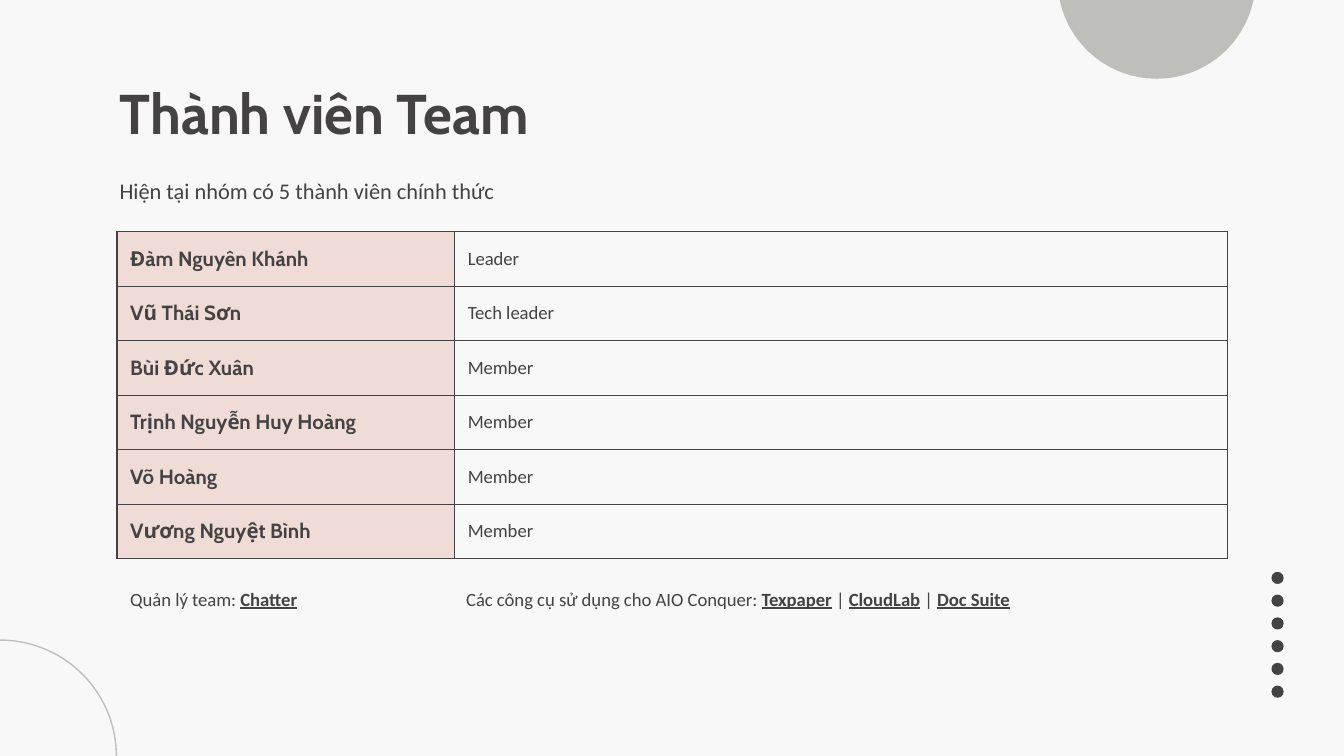
from math import cos, pi, sin

from lxml import etree
from pptx import Presentation
from pptx import util as u
from pptx.dml.color import RGBColor
from pptx.enum import shapes, text
from pptx.oxml.ns import qn

INK, PAPER, GREY, ROSE = "444242", "F8F8F8", "BEBEBB", "CE644C"
NAME = {"name": "Cabin", "size": u.Pt(11), "bold": True}
ROLE = {"name": "Calibri", "size": u.Pt(10), "bold": False}
TOOL = {"name": "Calibri", "size": u.Pt(10), "bold": True, "underline": True}


def paint(target, colour):
    if hasattr(target, "solid"):
        target.solid()
        target = target.fore_color
    target.rgb = RGBColor.from_string(colour)


def write(frame, spans, **paragraph_format):
    frame.word_wrap = True
    for side in ("left", "right", "top", "bottom"):
        setattr(frame, f"margin_{side}", u.Cm(0.25))
    para = frame.paragraphs[0]
    para.alignment = text.PP_ALIGN.LEFT
    for key, value in paragraph_format.items():
        setattr(para, key, value)
    for words, font_format in spans:
        span = para.add_run()
        span.text = words
        for key, value in font_format.items():
            setattr(span.font, key, value)
        paint(span.font.color, INK)


deck = Presentation()
deck.slide_width, deck.slide_height = u.Cm(25.4), u.Cm(14.29)
page = deck.slides.add_slide(deck.slide_layouts[5])
paint(page.background.fill, PAPER)

centre_x, centre_y, radius = 21.86, -0.38, 1.87
arc = [(u.Cm(centre_x + radius * cos(pi * step / 60)),
        u.Cm(centre_y + radius * sin(pi * step / 60))) for step in range(61)]
builder = page.shapes.build_freeform(*arc[0])
builder.add_line_segments(arc[1:], close=True)
half_disc = builder.convert_to_shape()
half_disc.shadow.inherit = False
paint(half_disc.fill, GREY)
half_disc.line.fill.background()

for index in range(6):
    dot = page.shapes.add_shape(shapes.MSO_SHAPE.OVAL, u.Cm(24.03),
                                u.Cm(10.81 + 0.43 * index), u.Cm(0.23), u.Cm(0.23))
    dot.shadow.inherit = False
    paint(dot.fill, INK)
    dot.line.fill.background()

ring = page.shapes.add_shape(shapes.MSO_SHAPE.OVAL, u.Cm(-2.19), u.Cm(12.1),
                             u.Cm(4.39), u.Cm(4.39))
ring.shadow.inherit = False
ring.fill.background()
paint(ring.line.fill, GREY)
ring.line.width = u.Pt(0.75)

title = page.shapes.title
title.left, title.top, title.width, title.height = [u.Cm(n) for n in (2.01, 1.24, 21.41, 1.6)]
title.text_frame.auto_size = text.MSO_AUTO_SIZE.NONE
title.text_frame.vertical_anchor = text.MSO_ANCHOR.TOP
write(title.text_frame, [("Thành viên Team", {**NAME, "size": u.Pt(30)})])

notes = [
    ((2.01, 3.1, 21.41, 1.02), 1.0,
     [("Hiện tại nhóm có 5 thành viên chính thức", {**ROLE, "size": u.Pt(12)})]),
    ((2.21, 10.8, 5.94, 1.27), 1.15,
     [("Quản lý team: ", ROLE), ("Chatter", TOOL)]),
    ((8.56, 10.8, 15.37, 1.27), 1.15,
     [("Các công cụ sử dụng cho AIO Conquer: ", ROLE), ("Texpaper", TOOL), (" | ", ROLE),
      ("CloudLab", TOOL), (" | ", ROLE), ("Doc Suite", TOOL)]),
]
for place, spacing, spans in notes:
    box = page.shapes.add_textbox(*[u.Cm(n) for n in place])
    write(box.text_frame, spans, line_spacing=spacing)

members = [
    ("Đàm Nguyên Khánh", "Leader"),
    ("Vũ Thái Sơn", "Tech leader"),
    ("Bùi Đức Xuân", "Member"),
    ("Trịnh Nguyễn Huy Hoàng", "Member"),
    ("Võ Hoàng", "Member"),
    ("Vương Nguyệt Bình", "Member"),
]
table = page.shapes.add_table(len(members), 2, u.Cm(2.21), u.Cm(4.38),
                              u.Cm(20.99), u.Cm(6.18)).table
table.first_row = table.horz_banding = False
table.columns[0].width, table.columns[1].width = u.Cm(6.38), u.Cm(14.61)
for row, member in zip(table.rows, members):
    row.height = u.Cm(1.03)
    for cell, words, font_format, colour, after in zip(
            row.cells, member, (NAME, ROLE), (ROSE, PAPER), (0, 16)):
        write(cell.text_frame, [(words, font_format)], space_after=u.Pt(after))
        for side in ("left", "right", "top", "bottom"):
            setattr(cell, f"margin_{side}", u.Cm(0.25))
        cell.vertical_anchor = text.MSO_ANCHOR.MIDDLE
        paint(cell.fill, colour)
        properties = cell._tc.get_or_add_tcPr()
        if colour == ROSE:
            tint = properties.find(".//" + qn("a:srgbClr"))
            etree.SubElement(tint, qn("a:alpha"), val="19000")
        for position, edge in enumerate(("a:lnL", "a:lnR", "a:lnT", "a:lnB")):
            border = etree.Element(qn(edge), w=str(u.Pt(0.75)))
            solid = etree.SubElement(border, qn("a:solidFill"))
            etree.SubElement(solid, qn("a:srgbClr"), val=INK)
            properties.insert(position, border)

deck.save("out.pptx")
